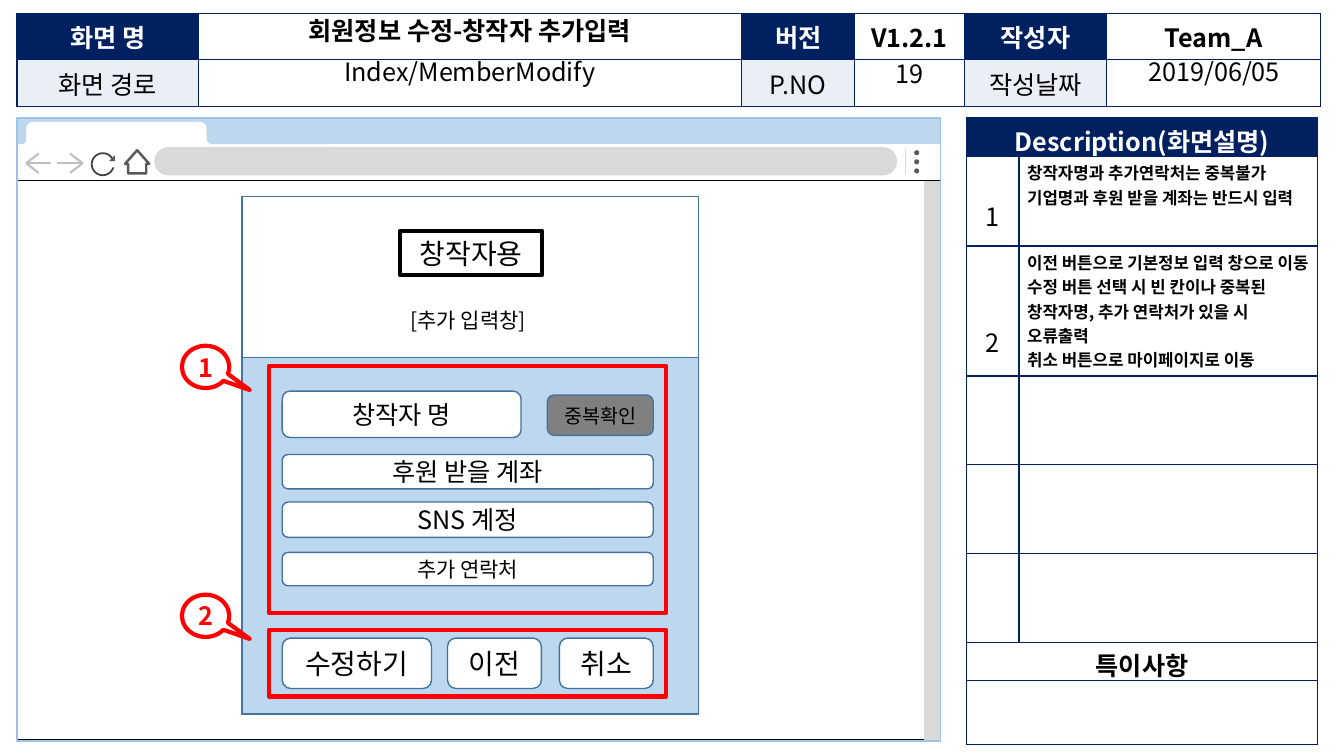
from lxml.etree import SubElement
from pptx import Presentation
from pptx.dml.color import RGBColor
from pptx.enum.shapes import MSO_CONNECTOR, MSO_SHAPE as SHAPE
from pptx.enum.text import MSO_ANCHOR as ANCHOR, PP_ALIGN as ALIGN
from pptx.oxml.ns import qn
from pptx.util import Pt

NAVY, SKY, STEEL, RED = "002060", "BDD7EE", "43739E", "FF0000"
WHITE, BLACK, GREY, DARK, PALE = "FFFFFF", "000000", "D9D9D9", "595959", "EAEFF7"


def rgb(value):
    return RGBColor.from_string(value)


class Wireframe:
    font = "Noto Sans CJK KR"

    def __init__(self, slide):
        self.shapes = slide.shapes

    def set_text(self, tf, text, size=18, color=BLACK, bold=False, align=ALIGN.CENTER,
                 spacing=None):
        """Fill a text frame, one paragraph per line of text."""
        for i, line in enumerate(text.split("\n")):
            p = tf.add_paragraph() if i else tf.paragraphs[0]
            p.add_run().text = line
            p.alignment = align
            if spacing:
                p.line_spacing = spacing
            font = p.font
            font.size, font.bold, font.name = Pt(size), bold, self.font
            font.color.rgb = rgb(color)
            SubElement(p._p.pPr.find(qn("a:defRPr")), qn("a:ea"), typeface=self.font)

    def shape(self, kind, x, y, w, h, fill=None, line=None, weight=1, adj=(),
              text="", **style):
        sp = self.shapes.add_shape(kind, Pt(x), Pt(y), Pt(w), Pt(h))
        sp.shadow.inherit = False
        for i, value in enumerate(adj):
            sp.adjustments[i] = value
        if fill:
            sp.fill.solid()
            sp.fill.fore_color.rgb = rgb(fill)
        else:
            sp.fill.background()
        if line:
            sp.line.color.rgb = rgb(line)
            sp.line.width = Pt(weight)
        else:
            sp.line.fill.background()
        if text:
            sp.text_frame.vertical_anchor = ANCHOR.MIDDLE
            self.set_text(sp.text_frame, text, **style)
        return sp

    def text(self, x, y, w, h, text, anchor=ANCHOR.TOP, **style):
        tf = self.shapes.add_textbox(Pt(x), Pt(y), Pt(w), Pt(h)).text_frame
        tf.word_wrap = True
        tf.vertical_anchor = anchor
        self.set_text(tf, text, **style)

    def line(self, x1, y1, x2, y2, color, weight):
        cxn = self.shapes.add_connector(MSO_CONNECTOR.STRAIGHT, Pt(x1), Pt(y1), Pt(x2), Pt(y2))
        cxn.line.color.rgb = rgb(color)
        cxn.line.width = Pt(weight)
        SubElement(cxn._element.spPr, qn("a:effectLst"))

    def table(self, x, y, widths, heights):
        """Add a bordered table without banding."""
        table = self.shapes.add_table(len(heights), len(widths), Pt(x), Pt(y),
                                      Pt(sum(widths)), Pt(sum(heights))).table
        table.first_row = table.horz_banding = False
        for column, width in zip(table.columns, widths):
            column.width = Pt(width)
        for row, height in zip(table.rows, heights):
            row.height = Pt(height)
        for cell in table.iter_cells():
            tcPr = cell._tc.get_or_add_tcPr()
            for side in ("lnL", "lnR", "lnT", "lnB"):
                ln = SubElement(tcPr, qn("a:" + side), w=str(Pt(1)))
                SubElement(SubElement(ln, qn("a:solidFill")), qn("a:srgbClr"), val=NAVY)
            cell.fill.background()
        return table

    def cell(self, cell, text="", fill=None, **style):
        if fill:
            cell.fill.solid()
            cell.fill.fore_color.rgb = rgb(fill)
        if text:
            self.set_text(cell.text_frame, text, **style)


def draw_browser(s):
    s.shape(SHAPE.RECTANGLE, 11.5, 128.2, 659.5, 400.3, WHITE, BLACK, 0.5)
    s.shape(SHAPE.RECTANGLE, 660.2, 128.9, 11.5, 399.6, GREY)
    s.shape(SHAPE.RECTANGLE, 12.2, 102.2, 659.5, 26.6, WHITE, BLACK, 0.5)
    s.shape(SHAPE.ROUNDED_RECTANGLE, 110.2, 105.1, 530.6, 20.2, GREY, adj=[0.5])
    for i in range(3):
        s.shape(SHAPE.OVAL, 653, 107.3 + 6.5 * i, 3.6, 3.6, DARK)
    s.line(646.6, 106.6, 646.6, 124.6, GREY, 1)
    s.shape(SHAPE.RECTANGLE, 12.2, 84.2, 659.5, 18.7, SKY)
    for tip, direction in ((18.7, 1), (59, -1)):
        for length, rise in ((18, 0), (9, -7), (9, 7)):
            s.line(tip, 116.6, tip + direction * length, 116.6 + rise, "BFBFBF", 1.5)
    # Reload and home
    s.shape(SHAPE.OVAL, 65.5, 109.4, 15.8, 15.8, line="404040", weight=1.25)
    s.shape(SHAPE.RECTANGLE, 78.5, 113.8, 5.8, 5.8, WHITE)
    s.shape(SHAPE.ISOSCELES_TRIANGLE, 77.8, 110.9, 4.3, 4.3, DARK, adj=[1])
    home = s.shape(SHAPE.DOWN_ARROW, 89.3, 107.3, 17.3, 16.6, WHITE, DARK, 1.75, [0.75, 0.586])
    home.rotation = 180
    # Tab with flared feet
    for x, y, w, h, fill, radius in ((18.7, 87.1, 128.9, 16.6, WHITE, 0.276),
                                     (135.4, 93.6, 24.5, 10.8, WHITE, 0.167),
                                     (147.6, 88.6, 91.4, 14.4, SKY, 0.276),
                                     (15.1, 93.6, 9.4, 10.8, WHITE, 0.167),
                                     (12.2, 88.6, 6.5, 14.4, SKY, 0.462)):
        s.shape(SHAPE.ROUNDED_RECTANGLE, x, y, w, h, fill, adj=[radius])
    s.shape(SHAPE.RECTANGLE, 12.2, 84.2, 659.5, 445, line="9DC3E6")


def draw_header(s):
    table = s.table(12.2, 9.4, [129.6, 388.1, 80.6, 78.5, 101.5, 152.6], [20.9, 20.9])
    rows = (("화면 명", "", "버전", "V1.2.1", "작성자", "Team_A"),
            ("화면 경로", "", "P.NO", "", "작성날짜", ""))
    for r, row in enumerate(rows):
        for c, text in enumerate(row):
            label = c % 2 == 0
            fill = (NAVY, PALE)[r] if label else WHITE
            s.cell(table.cell(r, c), text, fill, bold=r == 0,
                   color=WHITE if label and r == 0 else BLACK)
    s.text(141.8, 10.1, 387.4, 27.4, "회원정보 수정-창작자 추가입력", bold=True, spacing=0.9)
    s.text(141.8, 38.9, 387.4, 27.4, "Index/MemberModify", spacing=0.9)
    s.text(791.3, 38.9, 151.9, 27.4, "2019/06/05", spacing=0.9)
    s.text(610.6, 38.9, 77.8, 27.4, "19", ANCHOR.MIDDLE)


def draw_description(s):
    table = s.table(690.5, 84.2, [37.4, 213.1], [27.4, 64.1, 92.9, 63.4, 63.4, 63.4, 27.4, 45.4])
    for cell in table.iter_cells():
        cell.margin_left = cell.margin_right = Pt(5.8)
        cell.margin_top = cell.margin_bottom = Pt(2.9)
    for r in (0, 6, 7):
        table.cell(r, 0).merge(table.cell(r, 1))
    s.cell(table.cell(0, 0), "Description(화면설명)", NAVY, color=WHITE, bold=True)
    s.cell(table.cell(6, 0), "특이사항", bold=True)
    notes = ("창작자명과 추가연락처는 중복불가\n기업명과 후원 받을 계좌는 반드시 입력",
             "이전 버튼으로 기본정보 입력 창으로 이동\n"
             "수정 버튼 선택 시 빈 칸이나 중복된 창작자명, 추가 연락처가 있을 시 오류출력\n"
             "취소 버튼으로 마이페이지로 이동")
    for r, note in enumerate(notes, 1):
        s.cell(table.cell(r, 0), str(r), spacing=float(r + 1))
        s.cell(table.cell(r, 1), note, size=12, bold=True, align=ALIGN.LEFT)


def draw_form(s):
    s.shape(SHAPE.RECTANGLE, 172.8, 140.4, 326.2, 370.1, line=STEEL)
    s.shape(SHAPE.RECTANGLE, 172.8, 255.6, 326.2, 254.2, SKY, STEEL)
    s.shape(SHAPE.RECTANGLE, 285.8, 164.9, 101.5, 31.7, line=BLACK, weight=3,
            text="창작자용", size=20)
    s.text(283.7, 216, 101.5, 25.2, "[추가 입력창]", size=15)
    for number, top, height, callout_top in (("1", 261.4, 176.4, 247), ("2", 450, 47.5, 424.8)):
        s.shape(SHAPE.RECTANGLE, 192.2, top, 283.7, height, line=RED, weight=3)
        s.shape(SHAPE.OVAL_CALLOUT, 130, callout_top, 33.8, 30.2, line=RED, weight=3,
                adj=[0.936, 0.547], text=number, color=RED, bold=True)
    for text, x, y, w, h, size, fill in (
            ("수정하기", 201.6, 455.8, 106.6, 36, 20, WHITE),
            ("이전", 319.7, 455.8, 67, 36, 20, WHITE),
            ("취소", 399.6, 455.8, 67, 36, 20, WHITE),
            ("창작자 명", 201.6, 279.4, 170.6, 33.1, 18, WHITE),
            ("SNS 계정", 201.6, 358.6, 265, 25.2, 18, WHITE),
            ("추가 연락처", 201.6, 394.6, 265, 23.8, 15, WHITE),
            ("중복확인", 391, 282.2, 75.6, 28.8, 14, "808080"),
            ("후원 받을 계좌", 201.6, 324.7, 265, 24.5, 18, WHITE)):
        s.shape(SHAPE.ROUNDED_RECTANGLE, x, y, w, h, fill, STEEL, text=text, size=size)


def main():
    prs = Presentation()
    prs.slide_width, prs.slide_height = Pt(960), Pt(540)
    s = Wireframe(prs.slides.add_slide(prs.slide_layouts[6]))
    draw_browser(s)
    draw_header(s)
    draw_description(s)
    draw_form(s)
    prs.save("out.pptx")


if __name__ == "__main__":
    main()
